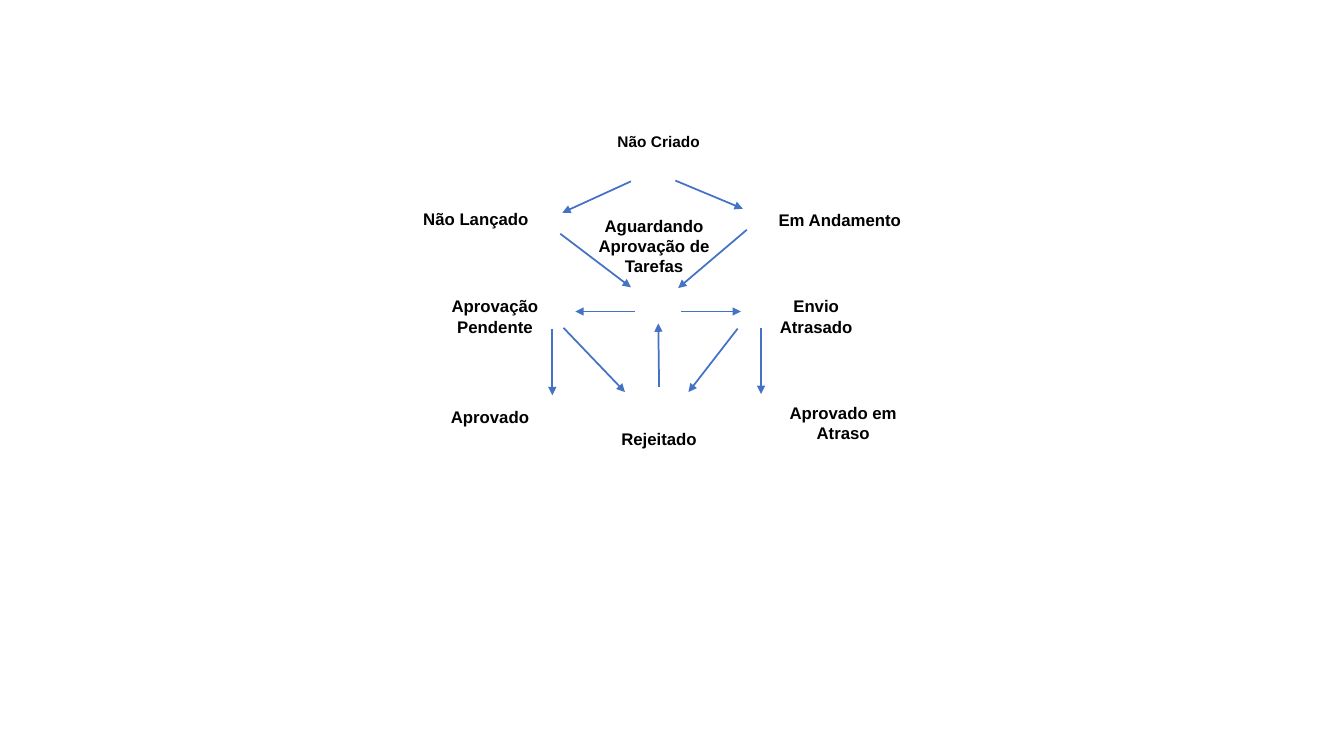
"""Build a slide that shows the states of a task and the transitions between them."""
from pptx import Presentation
from pptx.dml.color import RGBColor
from pptx.enum.shapes import MSO_CONNECTOR
from pptx.enum.text import MSO_AUTO_SIZE, PP_ALIGN
from pptx.oxml.ns import qn
from pptx.util import Cm, Pt
from lxml import etree

STRAIGHT = MSO_CONNECTOR.STRAIGHT
CENTER = PP_ALIGN.CENTER
GROW = MSO_AUTO_SIZE.SHAPE_TO_FIT_TEXT


def color(hex_code):
    """Return the colour for a hex string."""
    return RGBColor.from_string(hex_code)


class StateDiagram:
    """Hold the diagram style and the slide it is drawn on."""

    font_name = "Arial"
    text_color = "000000"
    arrow_color = "4472C4"
    arrow_width = 1.25
    padding = 0.25
    line_height = 0.51

    def __init__(self, slide):
        """Keep the slide that receives the elements."""
        self.slide = slide

    def state(self, lines, left, top, width, size=12, wrap=True):
        """Add a centred state label with one paragraph per line."""
        height = self.padding + self.line_height * len(lines)
        label = self.slide.shapes.add_textbox(Cm(left), Cm(top), Cm(width), Cm(height))
        frame = label.text_frame
        frame.word_wrap = wrap
        frame.auto_size = GROW
        frame.text = "\n".join(lines)
        for paragraph in frame.paragraphs:
            paragraph.alignment = CENTER
            paragraph.font.name = self.font_name
            paragraph.font.size = Pt(size)
            paragraph.font.bold = True
            paragraph.font.color.rgb = color(self.text_color)

    def transition(self, start, end):
        """Add an arrow from start to end."""
        arrow = self.slide.shapes.add_connector(STRAIGHT, *map(Cm, start + end))
        arrow.line.color.rgb = color(self.arrow_color)
        arrow.line.width = Pt(self.arrow_width)
        properties = arrow.element.spPr
        outline = properties.find(qn("a:ln"))
        etree.SubElement(outline, qn("a:tailEnd"), type="triangle")
        etree.SubElement(properties, qn("a:effectLst"))


def main():
    """Draw the states and transitions and save the file."""
    deck = Presentation()
    deck.slide_width, deck.slide_height = Cm(33.87), Cm(19.05)
    diagram = StateDiagram(deck.slides.add_slide(deck.slide_layouts[6]))

    diagram.state(["Não Criado"], 15.29, 3.2, 2.62, size=11, wrap=False)
    diagram.state(["Não Lançado"], 9.91, 5.13, 4.17)
    diagram.state(["Em Andamento"], 19.35, 5.16, 3.63, wrap=False)
    diagram.state(["Aguardando", "Aprovação de", "Tarefas"], 14.4, 5.31, 4.17)
    diagram.state(["Aprovação", "Pendente"], 10.67, 7.34, 3.61)
    diagram.state(["Envio", "Atrasado"], 19.15, 7.34, 2.84)
    diagram.state(["Aprovado"], 10.85, 10.13, 3)
    diagram.state(["Rejeitado"], 15.11, 10.69, 3)
    diagram.state(["Aprovado em", "Atraso"], 18.95, 10.03, 4.6)

    transitions = [
        ((15.9, 4.57), (14.17, 5.36)),
        ((17.02, 4.55), (18.72, 5.26)),
        ((14.12, 5.89), (15.9, 7.24)),
        ((18.82, 5.79), (17.09, 7.26)),
        ((16, 7.85), (14.5, 7.85)),
        ((17.17, 7.85), (18.67, 7.85)),
        ((13.92, 8.28), (13.92, 9.96)),
        ((14.2, 8.26), (15.75, 9.88)),
        ((16.61, 9.75), (16.59, 8.15)),
        ((18.59, 8.28), (17.35, 9.88)),
        ((19.18, 8.26), (19.18, 9.93)),
    ]
    for start, end in transitions:
        diagram.transition(start, end)

    deck.save("out.pptx")


if __name__ == "__main__":
    main()
